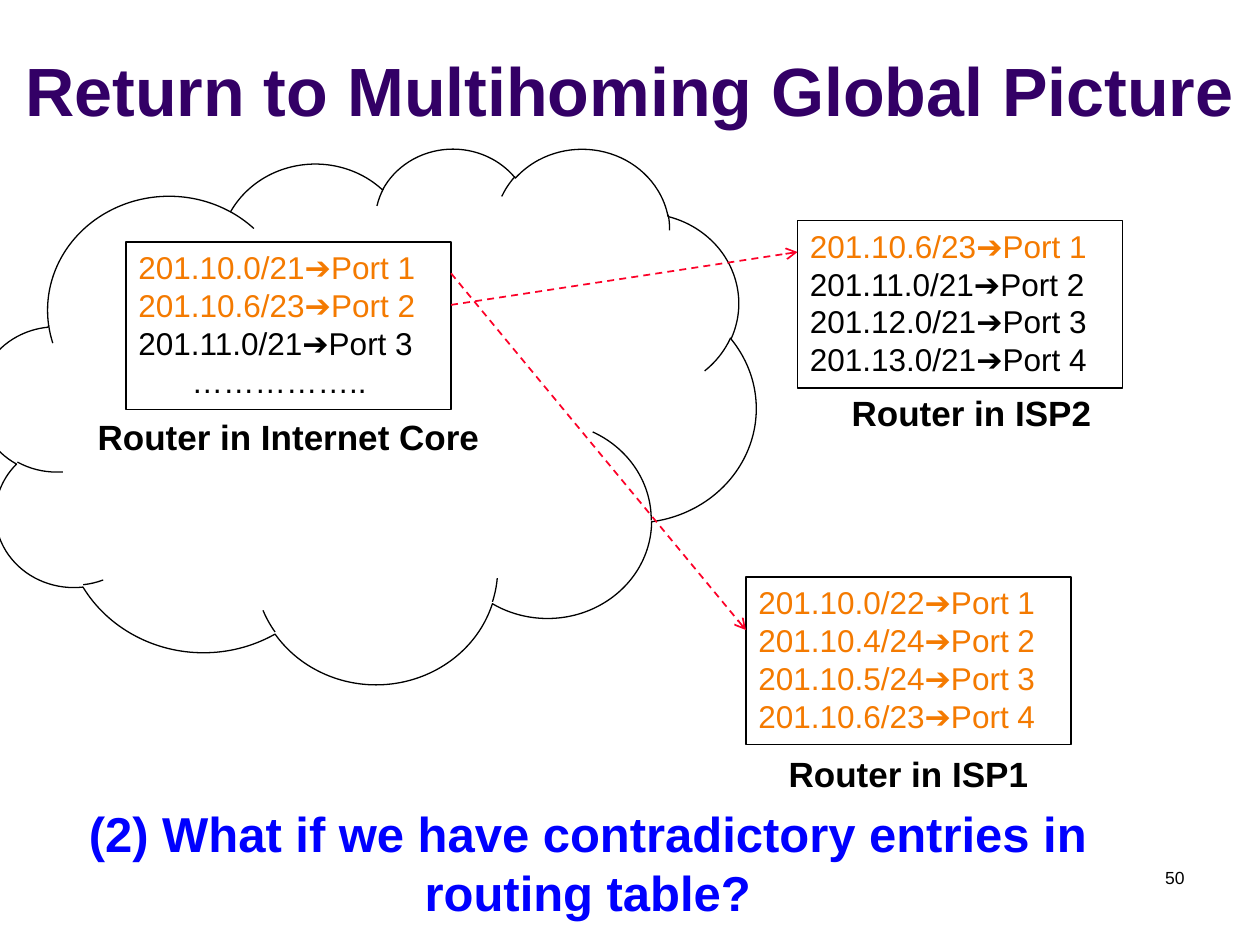
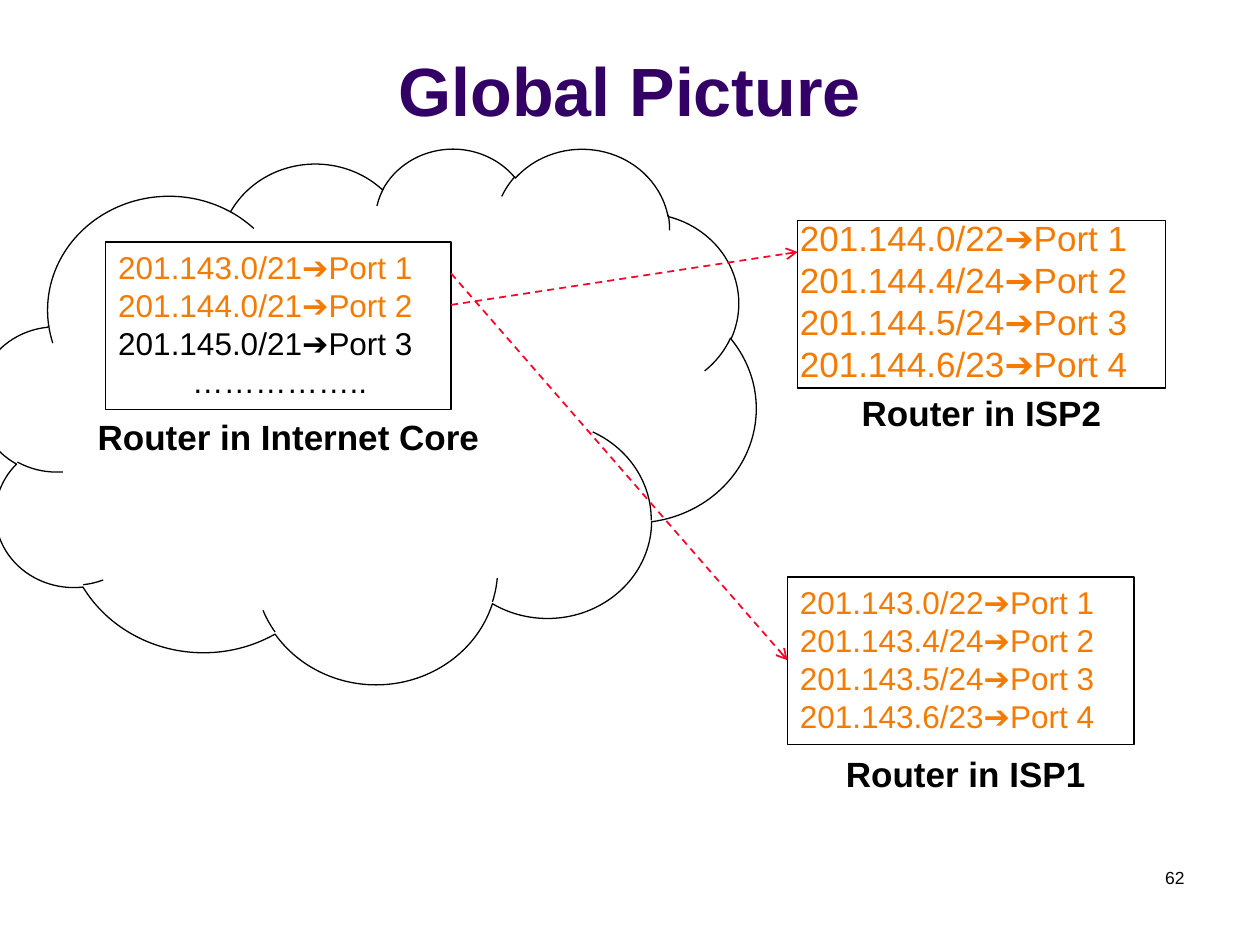
from dataclasses import dataclass
from lxml import etree
from pptx import Presentation
from pptx.dml.color import RGBColor
from pptx.enum.dml import MSO_LINE
from pptx.enum.shapes import MSO_CONNECTOR, MSO_SHAPE
from pptx.enum.text import MSO_ANCHOR, MSO_AUTO_SIZE, PP_ALIGN
from pptx.oxml.ns import qn
from pptx.util import Pt

LEFT, MID, RIGHT = PP_ALIGN.LEFT, PP_ALIGN.CENTER, PP_ALIGN.RIGHT
RECT, CLOUD = MSO_SHAPE.RECTANGLE, MSO_SHAPE.CLOUD
LINE, DASH = MSO_CONNECTOR.STRAIGHT, MSO_LINE.DASH
BASE, FIXED = MSO_ANCHOR.BOTTOM, MSO_AUTO_SIZE.NONE
PX = 9144


@dataclass(frozen=True)
class Theme:
    font: str = "Arial"
    title: str = "330066"
    ink: str = "000000"
    hot: str = "F47A00"
    link: str = "FC0128"
    ask: str = "0000FF"
    head_size: int = 39
    ask_size: int = 28
    label_size: int = 20
    route_size: int = 18
    page_size: int = 10


theme = Theme()


def write(frame, lines, size, align=LEFT, bold=False):
    frame.word_wrap = True
    frame.auto_size = FIXED
    for i, (text, color) in enumerate(lines):
        para = frame.paragraphs[0] if i == 0 else frame.add_paragraph()
        para.alignment = MID if text.startswith("…") else align
        run = para.add_run()
        run.text = text
        run.font.name = theme.font
        run.font.size = Pt(size)
        run.font.bold = bold
        run.font.color.rgb = RGBColor.from_string(color)


def outline(shapes, kind, spot):
    shape = shapes.add_shape(kind, *[n * PX for n in spot])
    shape.shadow.inherit = False
    shape.fill.background()
    shape.line.color.rgb = RGBColor.from_string(theme.ink)
    shape.line.width = Pt(0.75)


dots = "…………….. "
pages = [
    dict(
        title="Return to Multihoming Global Picture", number="50",
        tables=[
            ((100, 192, 258, 133), (100, 192, 250, 131), theme.route_size, 2,
             ["201.10.0/21➔Port 1", "201.10.6/23➔Port 2", "201.11.0/21➔Port 3", dots]),
            ((592, 458, 258, 133), (592, 458, 250, 131), theme.route_size, 4,
             ["201.10.0/22➔Port 1", "201.10.4/24➔Port 2", "201.10.5/24➔Port 3", "201.10.6/23➔Port 4"]),
            ((633, 175, 258, 133), (633, 175, 250, 162), theme.route_size, 1,
             ["201.10.6/23➔Port 1", "201.11.0/21➔Port 2", "201.12.0/21➔Port 3", "201.13.0/21➔Port 4"]),
        ],
        labels=[("Router in ISP1", (550, 592, 342, 44)), ("Router in ISP2", (600, 306, 342, 44))],
        target=(592, 500),
        ask="(2) What if we have contradictory entries in routing table?",
    ),
    dict(
        title="Global Picture", number="62",
        tables=[
            ((84, 192, 274, 133), (84, 192, 283, 131), theme.route_size, 2,
             ["201.143.0/21➔Port 1", "201.144.0/21➔Port 2", "201.145.0/21➔Port 3", dots]),
            ((625, 458, 275, 133), (625, 458, 266, 131), theme.route_size, 4,
             ["201.143.0/22➔Port 1", "201.143.4/24➔Port 2", "201.143.5/24➔Port 3", "201.143.6/23➔Port 4"]),
            ((633, 175, 292, 133), (625, 167, 300, 145), theme.label_size, 4,
             ["201.144.0/22➔Port 1", "201.144.4/24➔Port 2", "201.144.5/24➔Port 3", "201.144.6/23➔Port 4"]),
        ],
        labels=[("Router in ISP1", (625, 592, 283, 44)), ("Router in ISP2", (633, 306, 292, 44))],
        target=(625, 524),
        ask=None,
    ),
]

deck = Presentation()
deck.slide_width, deck.slide_height = 1000 * PX, 750 * PX

for page in pages:
    slide = deck.slides.add_slide(deck.slide_layouts[5])
    shapes = slide.shapes
    title = shapes.title
    title.left, title.top, title.width, title.height = 0, 13 * PX, 1000 * PX, 95 * PX
    title.text_frame.vertical_anchor = BASE
    write(title.text_frame, [(page["title"], theme.title)], theme.head_size, MID, True)

    outline(shapes, CLOUD, (-17, 117, 617, 425))
    for frame, spot, size, count, routes in page["tables"]:
        group = shapes.add_group_shape()
        outline(group.shapes, RECT, frame)
        box = group.shapes.add_textbox(*[n * PX for n in spot])
        lines = [(route, theme.hot if i < count else theme.ink) for i, route in enumerate(routes)]
        write(box.text_frame, lines, size)

    notes = [
        (page["number"], (717, 683, 233, 50), theme.ink, theme.page_size, RIGHT, False),
        ("Router in Internet Core", (58, 325, 342, 44), theme.ink, theme.label_size, MID, True),
    ]
    for text, spot in page["labels"]:
        notes.append((text, spot, theme.ink, theme.label_size, MID, True))
    if page["ask"]:
        notes.append((page["ask"], (33, 633, 867, 104), theme.ask, theme.ask_size, MID, True))
    for text, spot, color, size, align, bold in notes:
        box = shapes.add_textbox(*[n * PX for n in spot])
        write(box.text_frame, [(text, color)], size, align, bold)

    for start, end in [((358, 242), (633, 200)), ((358, 217), page["target"])]:
        link = shapes.add_connector(LINE, *[n * PX for n in start + end])
        link.line.color.rgb = RGBColor.from_string(theme.link)
        link.line.width = Pt(1)
        link.line.dash_style = DASH
        props = link._element.spPr
        etree.SubElement(props.find(qn("a:ln")), qn("a:tailEnd"), type="arrow")
        etree.SubElement(props, qn("a:effectLst"))

deck.save("out.pptx")
